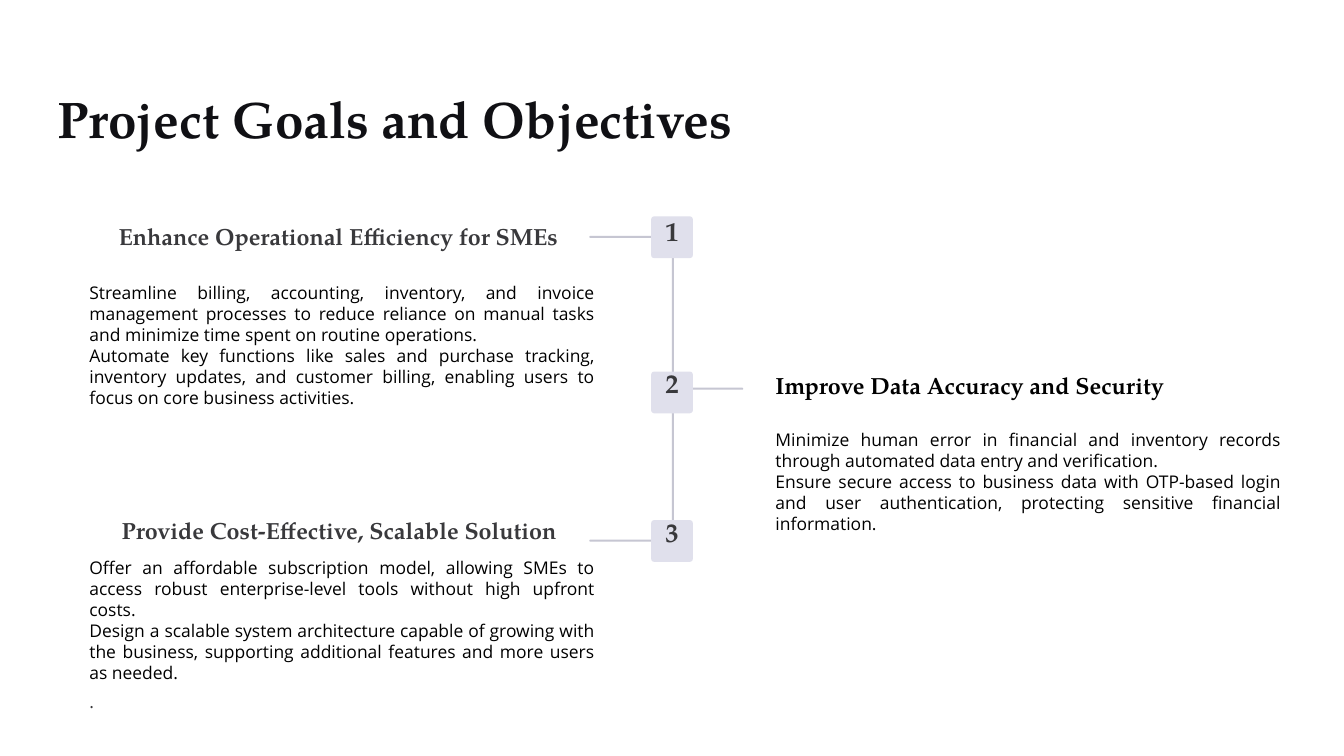
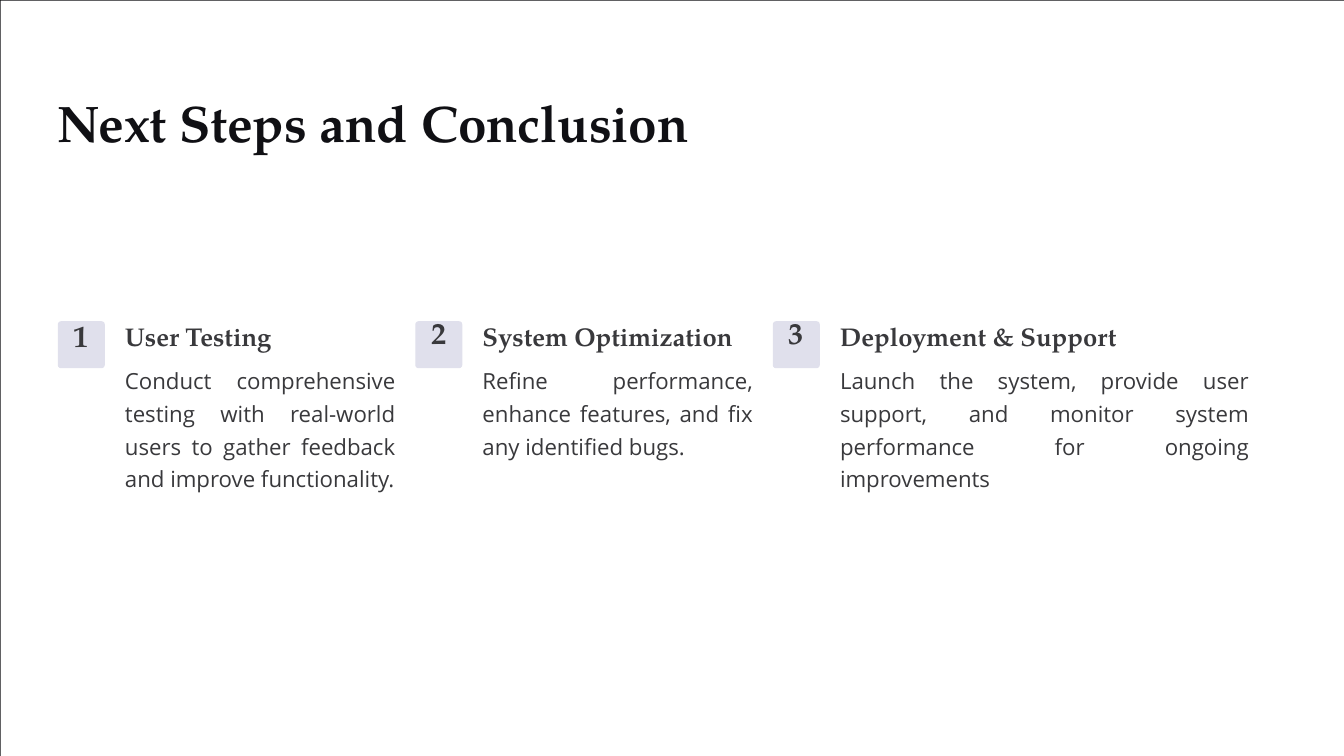
from dataclasses import dataclass, replace

from pptx import Presentation
from pptx.dml.color import RGBColor
from pptx.enum.shapes import MSO_SHAPE
from pptx.enum.text import PP_ALIGN
from pptx.util import Inches, Pt

SERIF = "TeX Gyre Pagella"
SANS = "Open Sans"


@dataclass(frozen=True)
class Style:
    font: str
    size: float
    leading: float
    color: str
    bold: bool = False
    align: PP_ALIGN = PP_ALIGN.LEFT


@dataclass(frozen=True)
class Theme:
    edge: str = "0C0C0E"
    page: str = "FFFFFF"
    rail: str = "C6C6D2"
    badge: str = "E0E0EC"
    ink: str = "39393C"
    black: str = "000000"
    title: Style = Style(SERIF, 55, 61.2, "101014", True)
    goal_number: Style = Style(SERIF, 28.7, 28.7, ink, True, PP_ALIGN.CENTER)
    goal_head: Style = Style(SERIF, 25, 30, ink, True, PP_ALIGN.RIGHT)
    goal_body: Style = Style(SANS, 18.7, 22.5, black, False, PP_ALIGN.JUSTIFY)
    goal_tail: Style = Style(SANS, 18.7, 31.2, ink, False, PP_ALIGN.JUSTIFY)
    step_number: Style = Style(SERIF, 32.5, 32.5, ink, True, PP_ALIGN.CENTER)
    step_head: Style = Style(SERIF, 27.5, 33.8, ink, True)
    step_body: Style = Style(SANS, 23.8, 35, ink, False, PP_ALIGN.JUSTIFY)


THEME = Theme()
WIDTH, HEIGHT = 20, 11.25


@dataclass(frozen=True)
class Box:
    left: float
    top: float
    width: float
    height: float

    def inches(self) -> list:
        return [Inches(v) for v in (self.left, self.top, self.width, self.height)]


@dataclass(frozen=True)
class Para:
    text: str
    style: Style


@dataclass(frozen=True)
class Goal:
    badge_top: float
    number_top: float
    arm_left: float
    head: Para
    head_box: Box
    body: list[Para]
    body_box: Box


@dataclass(frozen=True)
class Step:
    head: str
    body: str
    number_top: float = 4.76
    body_width: float = 4.02


def add_panel(s, box: Box, color: str, corner: float = 0) -> None:
    kind = MSO_SHAPE.ROUNDED_RECTANGLE if corner else MSO_SHAPE.RECTANGLE
    sp = s.shapes.add_shape(kind, *box.inches())
    if corner:
        sp.adjustments[0] = corner
    sp.shadow.inherit = False
    sp.fill.solid()
    sp.fill.fore_color.rgb = RGBColor.from_string(color)
    sp.line.fill.background()


def add_text(s, box: Box, *paras: Para) -> None:
    tf = s.shapes.add_textbox(*box.inches()).text_frame
    frame = dict.fromkeys(("margin_left", "margin_top", "margin_right", "margin_bottom"), 0)
    for name, value in {**frame, "word_wrap": True}.items():
        setattr(tf, name, value)
    for i, para in enumerate(paras):
        style = para.style
        p = tf.add_paragraph() if i else tf.paragraphs[0]
        for name, value in {"alignment": style.align, "line_spacing": Pt(style.leading)}.items():
            setattr(p, name, value)
        r = p.add_run()
        r.text = para.text
        font = {"name": style.font, "size": Pt(style.size), "bold": style.bold}
        for name, value in font.items():
            setattr(r.font, name, value)
        r.font.color.rgb = RGBColor.from_string(style.color)


def add_badge(s, left: float, top: float, size: float, number_top: float, number: Para) -> None:
    add_panel(s, Box(left, top, size, size), THEME.badge, 0.07)
    width = 0.36
    add_text(s, Box(left + (size - width) / 2, number_top, width, 0.53), number)


def add_page(prs, title: Para, title_box: Box, inset: float = 0):
    s = prs.slides.add_slide(prs.slide_layouts[6])
    add_panel(s, Box(0, 0, WIDTH, HEIGHT), THEME.edge)
    add_panel(s, Box(inset, inset, WIDTH - inset, HEIGHT - inset), THEME.page)
    add_text(s, title_box, title)
    return s


GOALS = [
    Goal(
        3.22, 3.28, 8.77,
        Para("Enhance Operational Efficiency for SMEs", THEME.goal_head),
        Box(1.45, 3.31, 6.85, 0.88),
        [
            Para("Streamline billing, accounting, inventory, and invoice management processes "
                 "to reduce reliance on manual tasks and minimize time spent on routine "
                 "operations.", THEME.goal_body),
            Para("Automate key functions like sales and purchase tracking, inventory updates, "
                 "and customer billing, enabling users to focus on core business activities.",
                 THEME.goal_body),
        ],
        Box(1.33, 4.19, 7.52, 1.91),
    ),
    Goal(
        5.53, 5.53, 10.09,
        Para("Improve Data Accuracy and Security",
             replace(THEME.goal_head, color=THEME.black, align=PP_ALIGN.LEFT)),
        Box(11.54, 5.52, 6.49, 0.95),
        [
            Para("Minimize human error in financial and inventory records through automated "
                 "data entry and verification.", THEME.goal_body),
            Para("Ensure secure access to business data with OTP-based login and user "
                 "authentication, protecting sensitive financial information.",
                 THEME.goal_body),
        ],
        Box(11.54, 6.38, 7.52, 1.6),
    ),
    Goal(
        7.74, 7.76, 8.77,
        Para("Provide Cost-Effective, Scalable Solution", THEME.goal_head),
        Box(1.45, 7.68, 6.83, 0.62),
        [
            Para("Offer an affordable subscription model, allowing SMEs to access robust "
                 "enterprise-level tools without high upfront costs.", THEME.goal_body),
            Para("Design a scalable system architecture capable of growing with the business, "
                 "supporting additional features and more users as needed.", THEME.goal_body),
            Para(".", THEME.goal_tail),
        ],
        Box(1.33, 8.29, 7.52, 1.98),
    ),
]

STEPS = [
    Step("User Testing",
         "Conduct comprehensive testing with real-world users to gather feedback and "
         "improve functionality.", number_top=4.81),
    Step("System Optimization",
         "Refine performance, enhance features, and fix any identified bugs."),
    Step("Deployment & Support",
         "Launch the system, provide user support, and monitor system performance for "
         "ongoing improvements", body_width=6.08),
]


def build_goals(prs) -> None:
    s = add_page(prs, Para("Project Goals and Objectives", THEME.title),
                 Box(0.85, 1.37, 10.7, 1.67))
    add_panel(s, Box(10, 3.46, 0.03, 4.85), THEME.rail, 0.5)
    for i, goal in enumerate(GOALS):
        add_panel(s, Box(goal.arm_left, 3.51 + 2.26 * i, 0.97, 0.03), THEME.rail, 0.5)
        add_badge(s, 9.69, goal.badge_top, 0.62, goal.number_top,
                  Para(str(i + 1), THEME.goal_number))
        add_text(s, goal.head_box, goal.head)
        add_text(s, goal.body_box, *goal.body)


def build_steps(prs) -> None:
    title = Para("Next Steps and Conclusion", replace(THEME.title, leading=68.8))
    s = add_page(prs, title, Box(0.85, 1.32, 9.92, 1.56), inset=0.01)
    for i, step in enumerate(STEPS):
        left = 0.86 + 5.32 * i
        add_badge(s, left, 4.78, 0.7, step.number_top, Para(str(i + 1), THEME.step_number))
        add_text(s, Box(left + 1, 4.76, 4.17, 0.68), Para(step.head, THEME.step_head))
        add_text(s, Box(left + 1, 5.38, step.body_width, 3.7), Para(step.body, THEME.step_body))


def main() -> None:
    prs = Presentation()
    prs.slide_width, prs.slide_height = Inches(WIDTH), Inches(HEIGHT)
    build_goals(prs)
    build_steps(prs)
    prs.save("out.pptx")


if __name__ == "__main__":
    main()
